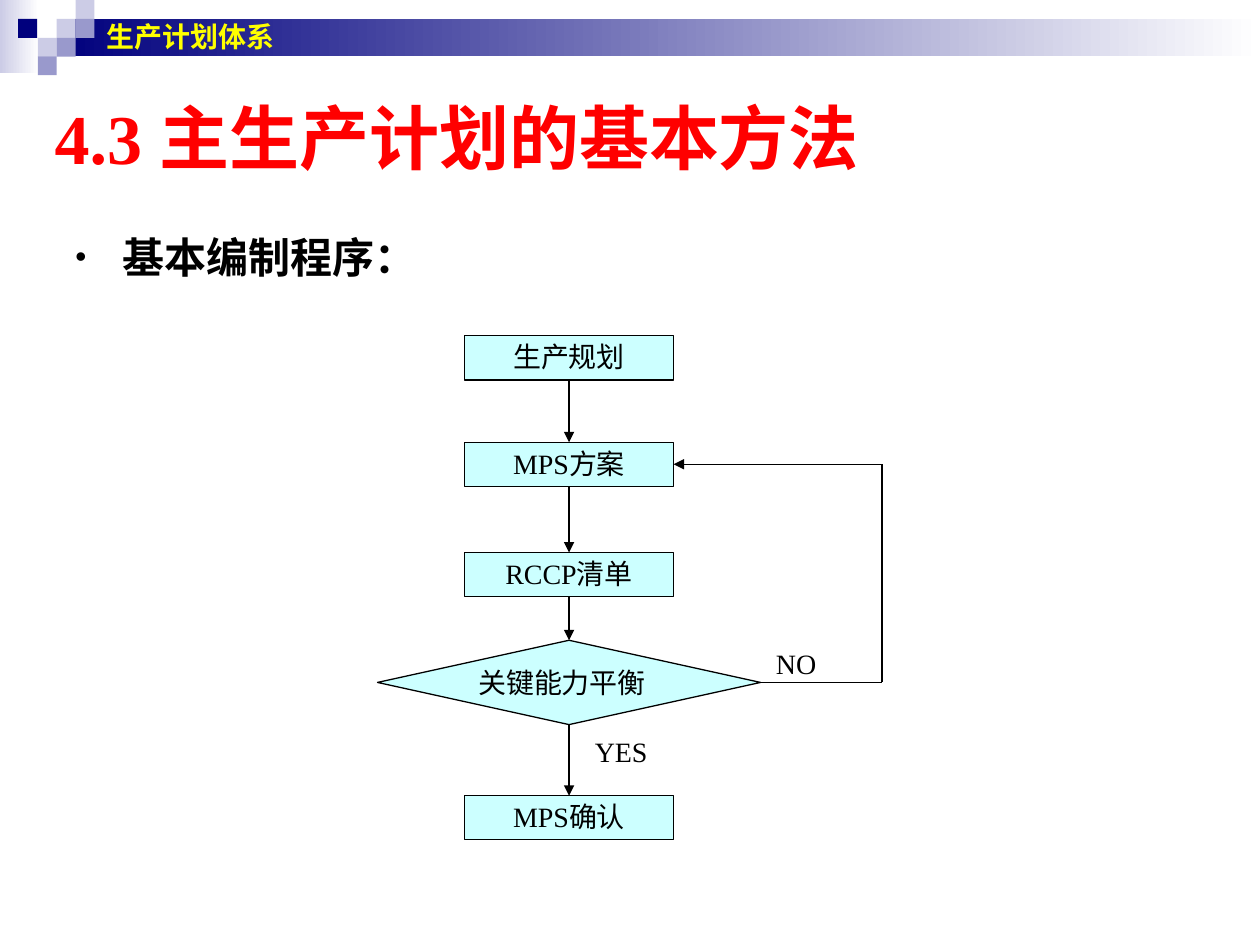
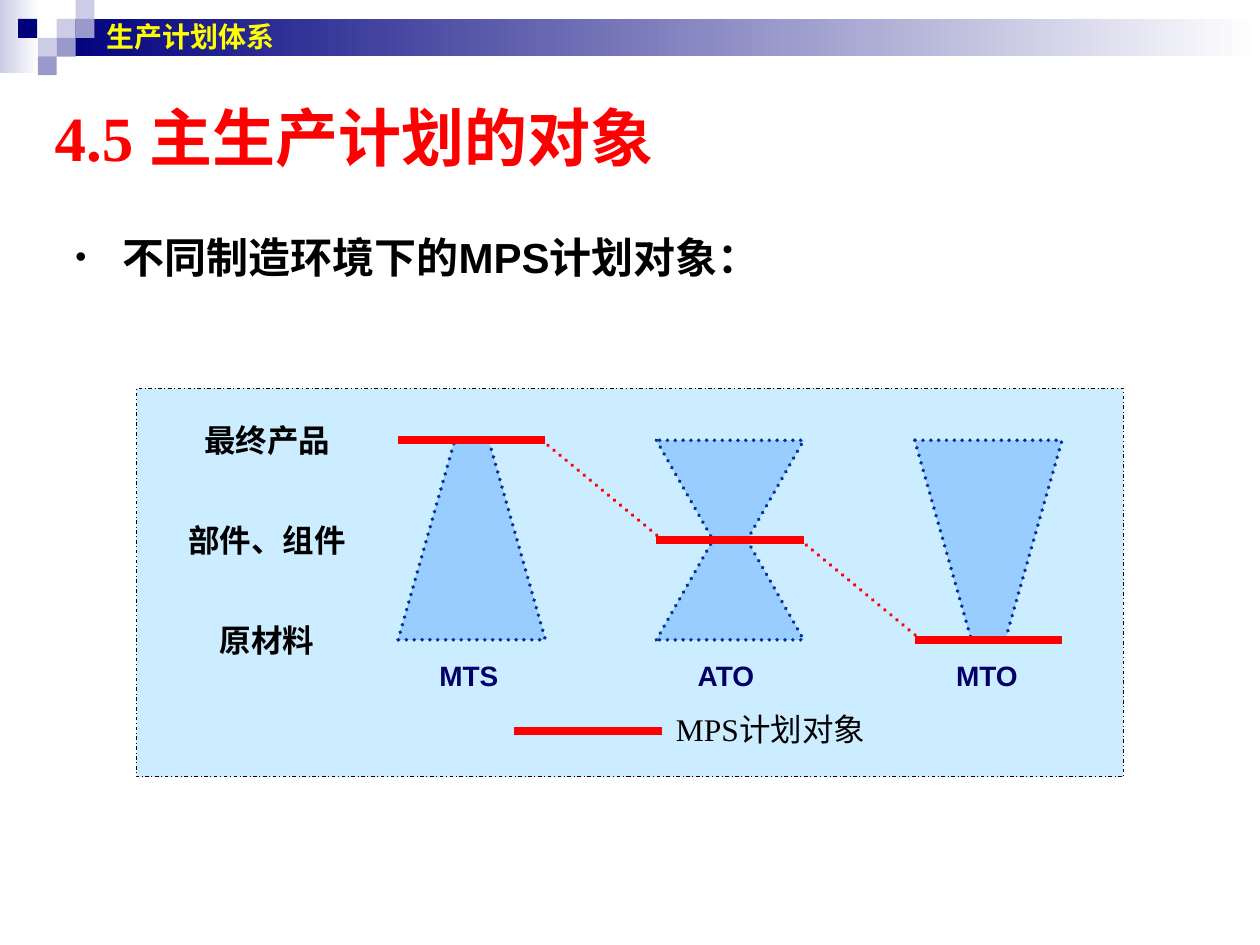
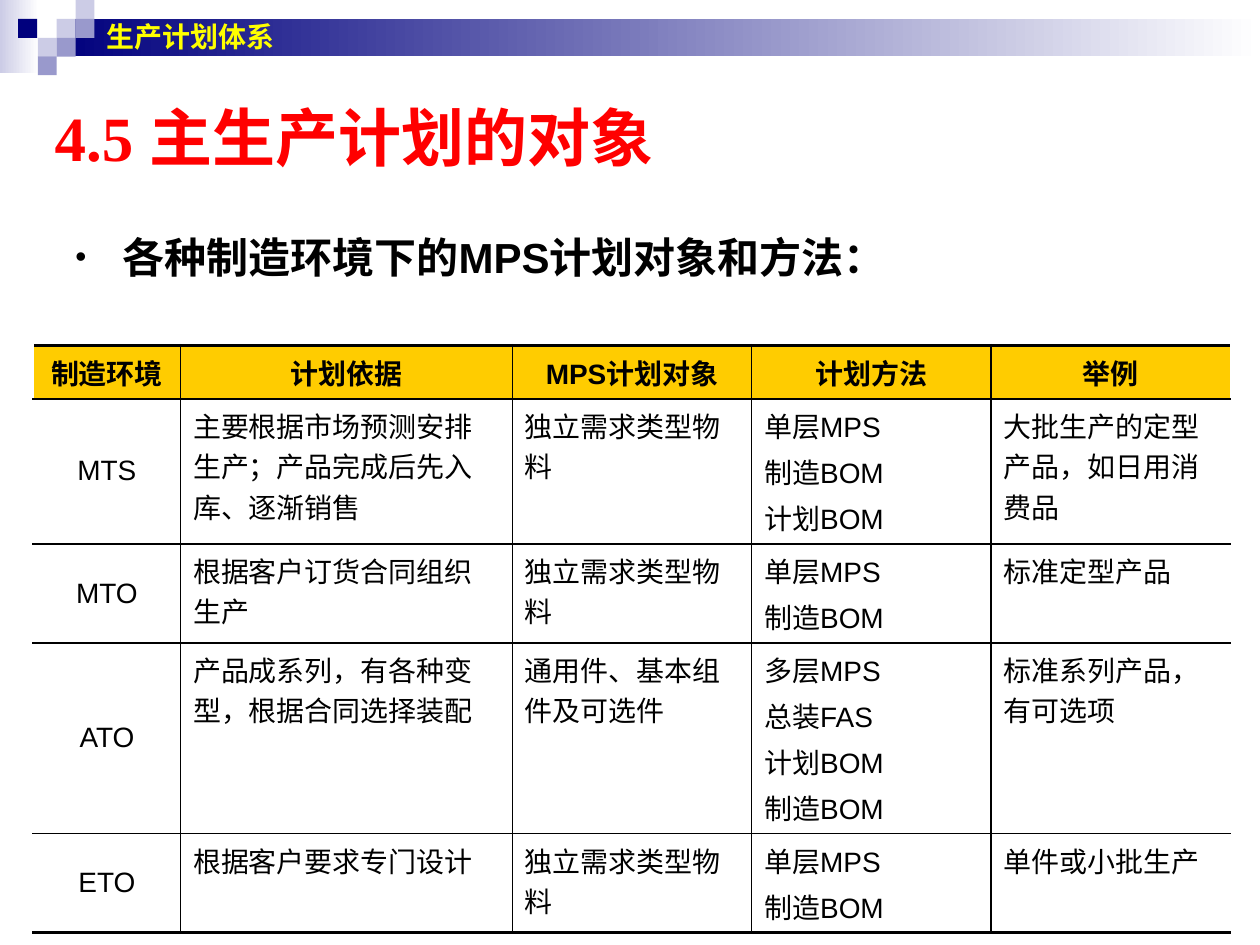
"""Builds three slides on the methods and objects of the master production schedule."""
from lxml.etree import SubElement
from pptx import Presentation
from pptx.dml.color import RGBColor
from pptx.enum.dml import MSO_LINE_DASH_STYLE as Dash
from pptx.enum.shapes import MSO_CONNECTOR as Connector, MSO_SHAPE as Shape
from pptx.enum.text import MSO_ANCHOR as Anchor, MSO_AUTO_SIZE as AutoSize, PP_ALIGN as Align
from pptx.oxml.ns import qn
from pptx.util import Pt

COLORS = {
    "black": "000000", "white": "FFFFFF", "navy": "00007D", "lavender": "CCCCE6",
    "violet": "9999CC", "yellow": "FFFF00", "red": "FF0000", "box": "CCFFFF",
    "panel": "CCECFF", "funnel": "99CCFF", "outline": "003399", "label": "000066",
    "header": "FFCC00",
}
SERIF, SANS = "Times New Roman", "Arial"

HEADER = "生产计划体系"
GRADIENT_BANDS = [((0, 0, 22.3, 41.8), "lavender"), ((32.4, 10.8, 687.6, 21.2), "navy")]
TILE = 10.8
TILES = [
    (32.4, 10.8, "lavender"), (43.2, 0, "lavender"), (43.2, 10.8, "violet"),
    (21.6, 21.6, "lavender"), (10.4, 10.8, "navy"), (32.4, 21.6, "violet"),
    (21.6, 32.2, "violet"),
]

FLOW_AXIS = 325.2
FLOW_STEPS = [
    ("生产规划", 191.9, (119.5, 25.2)),
    ("MPS方案", 252.7, (119.5, 25.2)),
    ("RCCP清单", 315.7, (119.5, 25.2)),
    ("关键能力平衡", 365.9, (218.9, 48.2)),
    ("MPS确认", 454.7, (119.5, 25.2)),
]
PLAN_STEP, DECISION_STEP = 1, 3
LOOP_X = 504
ANSWERS = [("NO", (436.3, 367.2, 60.5, 23)), ("YES", (332.8, 417.6, 70.6, 23))]

LEVELS = ["最终产品", "部件、组件", "原材料"]
LEVEL_TOP, LEVEL_PITCH = 251.6, 57
ENVIRONMENTS = [("MTS", [(2, 0)]), ("ATO", [(0, 1), (2, 1)]), ("MTO", [(0, 2)])]
FUNNEL_LEFT, FUNNEL_PITCH, FUNNEL_WIDTH, FUNNEL_INSET = 227.5, 147.6, 84.2, 32.4
LEGEND = "MPS计划对象"

TABLE_HEADER = ["制造环境", "计划依据", "MPS计划对象", "计划方法", "举例"]
TABLE_ROWS = [
    ["MTS", "主要根据市场预测安排生产；产品完成后先入库、逐渐销售", "独立需求类型物料",
     "单层MPS\n制造BOM\n计划BOM", "大批生产的定型产品，如日用消费品"],
    ["MTO", "根据客户订货合同组织生产", "独立需求类型物料", "单层MPS\n制造BOM", "标准定型产品"],
    ["ATO", "产品成系列，有各种变型，根据合同选择装配", "通用件、基本组件及可选件",
     "多层MPS\n总装FAS\n计划BOM\n制造BOM", "标准系列产品，有可选项"],
    ["ETO", "根据客户要求专门设计", "独立需求类型物料", "单层MPS\n制造BOM", "单件或小批生产"],
]
COLUMN_WIDTHS = [84.2, 189.6, 136.8, 136.8, 136.8]
ROW_HEIGHTS = [30.5, 82.9, 56.6, 109.1, 56.6]


def color(name):
    return RGBColor.from_string(COLORS[name])


def points(*values):
    return [Pt(value) for value in values]


def set_font(paragraph, name, size, color_name="black", bold=False):
    font = paragraph.font
    font.name, font.size, font.bold = name, Pt(size), bold
    font.color.rgb = color(color_name)


def write(shape, text, name, size, color_name="black", bold=False, align=Align.LEFT,
          anchor=Anchor.TOP, wrap=True, spacing=None):
    frame = shape.text_frame
    frame.text = text
    frame.word_wrap, frame.vertical_anchor = wrap, anchor
    paragraph = frame.paragraphs[0]
    paragraph.alignment = align
    if spacing:
        paragraph.line_spacing = spacing
    set_font(paragraph, name, size, color_name, bold)


def add_text(slide, box, text, *args, **options):
    shape = slide.shapes.add_textbox(*points(*box))
    write(shape, text, *args, **options)
    return shape


def style_line(shape, color_name, width, dash=None):
    line = shape.line
    line.color.rgb = color(color_name)
    line.width = Pt(width)
    if dash:
        line.dash_style = dash
    if dash == Dash.ROUND_DOT:
        shape._element.spPr.find(qn("a:ln")).set("cap", "rnd")


def add_box(slide, box, fill, kind=Shape.RECTANGLE):
    shape = slide.shapes.add_shape(kind, *points(*box))
    shape.shadow.inherit = False
    shape.fill.solid()
    shape.fill.fore_color.rgb = color(fill)
    shape.line.fill.background()
    return shape


def add_line(slide, start, end, color_name="black", width=0.75, dash=None, arrow=False):
    line = slide.shapes.add_connector(Connector.STRAIGHT, *points(*start, *end))
    style_line(line, color_name, width, dash)
    properties = line._element.spPr
    if arrow:
        SubElement(properties.find(qn("a:ln")), qn("a:tailEnd"), type="triangle")
    SubElement(properties, qn("a:effectLst"))
    return line


def add_bullet(slide, text):
    shape = slide.shapes.add_textbox(*points(36, 114.3, 648, 318.2))
    frame = shape.text_frame
    frame.word_wrap = True
    frame.text = text
    paragraph = frame.paragraphs[0]
    paragraph.line_spacing = 1.5
    properties = paragraph._p.get_or_add_pPr()
    properties.set("marL", str(Pt(27)))
    properties.set("indent", str(Pt(-27)))
    bullet_color = SubElement(properties, qn("a:buClr"))
    SubElement(bullet_color, qn("a:srgbClr"), val=COLORS["black"])
    SubElement(properties, qn("a:buSzPct"), val="75000")
    SubElement(properties, qn("a:buFont"), typeface=SANS)
    SubElement(properties, qn("a:buChar"), char="•")
    set_font(paragraph, SANS, 24, bold=True)


def add_slide(presentation, title_text, title_size, bullet):
    slide = presentation.slides.add_slide(presentation.slide_layouts[5])
    title = slide.shapes.title
    title.left, title.top, title.width, title.height = points(24, 54, 648, 48.2)
    write(title, title_text, SERIF, title_size, "red", True, anchor=Anchor.MIDDLE)
    title.text_frame.auto_size = AutoSize.NONE
    for box, start_color in GRADIENT_BANDS:
        band = add_box(slide, box, start_color)
        band.fill.gradient()
        band.fill.gradient_angle = 0
        for stop, position, name in zip(band.fill.gradient_stops, (0, 1), (start_color, "white")):
            stop.position, stop.color.rgb = position, color(name)
    for left, top, fill in TILES:
        add_box(slide, (left, top, TILE, TILE), fill)
    add_text(slide, (54, 0, 636, 41.8), HEADER, SANS, 16, "yellow", True, anchor=Anchor.MIDDLE)
    add_bullet(slide, bullet)
    return slide


def draw_flow(slide):
    steps = []
    for index, (text, top, (width, height)) in enumerate(FLOW_STEPS):
        decision = index == DECISION_STEP
        kind = Shape.FLOWCHART_DECISION if decision else Shape.RECTANGLE
        step = add_box(slide, (FLOW_AXIS - width / 2, top, width, height), "box", kind)
        style_line(step, "black", 0.75)
        align = Align.JUSTIFY if decision else Align.CENTER
        write(step, text, SERIF, 16, align=align, spacing=0.96)
        if decision:
            step.text_frame.margin_left = step.text_frame.margin_right = Pt(2.9)
        steps.append(step)
    for upper, lower in zip(steps, steps[1:]):
        arrow = add_line(slide, (FLOW_AXIS, 0), (FLOW_AXIS, 0), arrow=True)
        arrow.begin_connect(upper, 2)
        arrow.end_connect(lower, 0)

    plan, decision = steps[PLAN_STEP], steps[DECISION_STEP]
    plan_y, decision_y = [(step.top + step.height / 2) / Pt(1) for step in (plan, decision)]
    low, high = (LOOP_X, decision_y), (LOOP_X, plan_y)
    add_line(slide, low, low).begin_connect(decision, 3)
    add_line(slide, low, high)
    add_line(slide, high, high, arrow=True).end_connect(plan, 3)
    for text, box in ANSWERS:
        add_text(slide, box, text, SERIF, 16, align=Align.JUSTIFY, spacing=0.96)


def level_y(level):
    return LEVEL_TOP + level * LEVEL_PITCH


def add_funnel(slide, left, wide_y, narrow_y):
    right = left + FUNNEL_WIDTH
    corners = [(left + FUNNEL_INSET, narrow_y), (right - FUNNEL_INSET, narrow_y), (right, wide_y)]
    builder = slide.shapes.build_freeform(*points(left, wide_y))
    builder.add_line_segments([points(*corner) for corner in corners], close=True)
    funnel = builder.convert_to_shape()
    funnel.shadow.inherit = False
    funnel.fill.solid()
    funnel.fill.fore_color.rgb = color("funnel")
    style_line(funnel, "outline", 2.25, Dash.ROUND_DOT)


def draw_environments(slide):
    panel = add_box(slide, (78, 222, 564, 222), "panel")
    style_line(panel, "black", 0.5, Dash.DASH_DOT)
    lefts = [FUNNEL_LEFT + column * FUNNEL_PITCH for column in range(len(ENVIRONMENTS))]
    for left, (name, funnels) in zip(lefts, ENVIRONMENTS):
        for wide, narrow in funnels:
            add_funnel(slide, left, level_y(wide), level_y(narrow))
        add_text(slide, (left + 16.5, 373, 54, 26.6), name, SANS, 16, "label", True,
                 align=Align.JUSTIFY)
    for level, (left, text) in enumerate(zip(lefts, LEVELS)):
        y = level_y(level)
        add_line(slide, (left, y), (left + FUNNEL_WIDTH, y), "red", 4.5)
        label = add_box(slide, (96.2, y - 14.3, 113, 28.8), "panel")
        write(label, text, SERIF, 18, bold=True, align=Align.CENTER, wrap=False)
    for level, (left, next_left) in enumerate(zip(lefts, lefts[1:])):
        add_line(slide, (left + FUNNEL_WIDTH - 2, level_y(level)),
                 (next_left + 3.6, level_y(level + 1)), "red", 2.25, Dash.ROUND_DOT)
    add_line(slide, (293.8, 417.6), (293.8 + FUNNEL_WIDTH, 417.6), "red", 4.5)
    add_text(slide, (359.3, 402.2, 162, 28.8), LEGEND, SERIF, 18, align=Align.CENTER, wrap=False)


def add_border(cell, side, width):
    line = SubElement(cell._tc.get_or_add_tcPr(), qn(f"a:ln{side}"), w=str(Pt(width)))
    fill = SubElement(line, qn("a:solidFill"))
    SubElement(fill, qn("a:srgbClr"), val=COLORS["black"])


def draw_table(slide):
    rows = [TABLE_HEADER] + TABLE_ROWS
    last_row, last_column = len(rows) - 1, len(TABLE_HEADER) - 1
    box = points(19, 197.4, sum(COLUMN_WIDTHS), sum(ROW_HEIGHTS))
    table = slide.shapes.add_table(len(rows), len(TABLE_HEADER), *box).table
    table.first_row = table.horz_banding = False
    for column, width in zip(table.columns, COLUMN_WIDTHS):
        column.width = Pt(width)
    for row, height in zip(table.rows, ROW_HEIGHTS):
        row.height = Pt(height)
    for r, texts in enumerate(rows):
        for c, text in enumerate(texts):
            cell = table.cell(r, c)
            if c > 0:
                add_border(cell, "L", 1)
            if c < last_column:
                add_border(cell, "R", 1)
            add_border(cell, "T", 2.25 if r == 0 else 1)
            add_border(cell, "B", 2.25 if r == last_row else 1)
            if r == 0:
                cell.fill.solid()
                cell.fill.fore_color.rgb = color("header")
            else:
                cell.fill.background()
            cell.vertical_anchor = Anchor.MIDDLE if r and c == 0 else Anchor.TOP
            cell.text = text
            for index, paragraph in enumerate(cell.text_frame.paragraphs):
                paragraph.alignment = Align.CENTER if r == 0 or c == 0 else Align.LEFT
                if index:
                    paragraph.space_before = Pt(3.2)
                set_font(paragraph, SANS, 16, bold=r == 0)


SLIDES = [
    ("4.3 主生产计划的基本方法", 40, "基本编制程序：", draw_flow),
    ("4.5 主生产计划的对象", 36, "不同制造环境下的MPS计划对象：", draw_environments),
    ("4.5 主生产计划的对象", 36, "各种制造环境下的MPS计划对象和方法：", draw_table),
]


def main():
    presentation = Presentation()
    presentation.slide_width, presentation.slide_height = points(720, 540)
    for title, size, bullet, draw in SLIDES:
        draw(add_slide(presentation, title, size, bullet))
    presentation.save("out.pptx")


if __name__ == "__main__":
    main()
